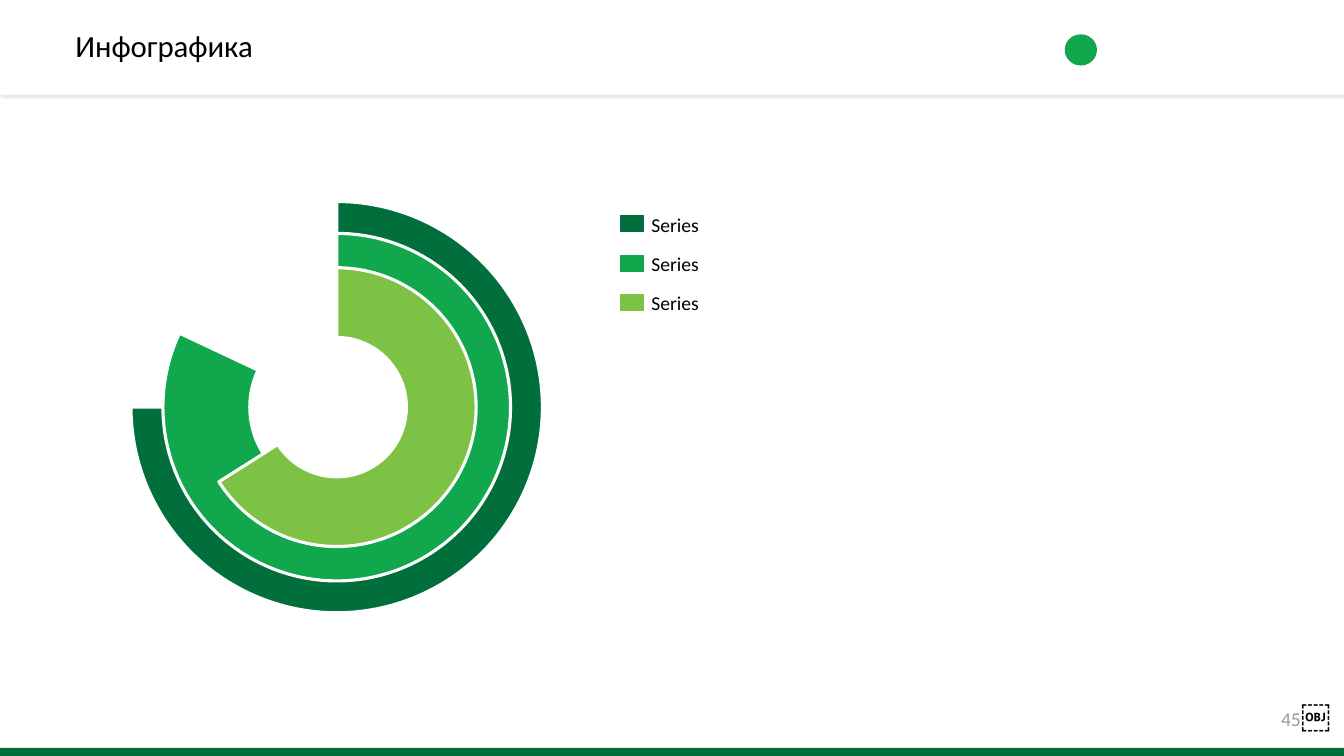
from lxml import etree
from pptx import Presentation
from pptx.chart.data import CategoryChartData
from pptx.dml.color import RGBColor
from pptx.enum.chart import XL_CHART_TYPE as ChartType
from pptx.enum.shapes import MSO_SHAPE as Preset
from pptx.enum.text import MSO_ANCHOR as Anchor, PP_ALIGN as Align
from pptx.oxml import parse_xml
from pptx.oxml.ns import nsdecls, qn
from pptx.util import Inches, Pt

WHITE = RGBColor(0xFF, 0xFF, 0xFF)
BLACK = RGBColor(0, 0, 0)
GREY = RGBColor(0x99, 0x99, 0x99)
DARK_GREEN = RGBColor(0x00, 0x6F, 0x3C)
GREEN = RGBColor(0x11, 0xA7, 0x4C)
LIME = RGBColor(0x7D, 0xC2, 0x44)

TITLE = "Инфографика"
PAGE_NUMBER = [("45", 14, "Calibri", GREY), ("￼", 21, "Cabin", BLACK)]
RINGS = [
    {"label": "Series", "value": 75, "color": DARK_GREEN, "size": 4.26, "hole": 85},
    {"label": "Series", "value": 82, "color": GREEN, "size": 3.63, "hole": 81},
    {"label": "Series", "value": 66, "color": LIME, "size": 2.95, "hole": 75},
]

SLIDE_WIDTH, SLIDE_HEIGHT = 13.33, 7.5
HEADER_HEIGHT = 0.94
FOOTER_TOP = 7.42
CENTER_X, CENTER_Y = 3.34, 4.04
RING_MARGIN = 0.09
LEGEND_TOP, LEGEND_STEP = 2.12, 0.39


def add_box(slide, box, fill, preset=Preset.RECTANGLE, line_width=None):
    shape = slide.shapes.add_shape(preset, *map(Inches, box))
    shape.shadow.inherit = False
    shape.fill.solid()
    shape.fill.fore_color.rgb = fill
    if line_width:
        shape.line.color.rgb = WHITE
        shape.line.width = Pt(line_width)
    else:
        shape.line.fill.background()
    return shape


def add_text(slide, box, runs, align=Align.LEFT, insets=(0, 0), spacing=None):
    frame = slide.shapes.add_textbox(*map(Inches, box)).text_frame
    frame.word_wrap = True
    frame.vertical_anchor = Anchor.MIDDLE
    frame.margin_left = frame.margin_right = Inches(insets[0])
    frame.margin_top = frame.margin_bottom = Inches(insets[1])
    paragraph = frame.paragraphs[0]
    paragraph.alignment = align
    if spacing:
        paragraph.line_spacing = spacing
    for text, size, font, color in runs:
        run = paragraph.add_run()
        run.text = text
        run.font.size = Pt(size)
        run.font.name = font
        run.font.color.rgb = color


def add_header_shadow(shape):
    effects = shape._element.spPr.find(qn("a:effectLst"))
    effects.append(parse_xml(
        f'<a:outerShdw {nsdecls("a")} blurRad="12700" dist="25400" dir="5400000" '
        'algn="t" rotWithShape="0"><a:srgbClr val="8A8A8A"><a:alpha val="20000"/>'
        '</a:srgbClr></a:outerShdw>'))


def set_plot_layout(chart, margin):
    plot_area = chart._chartSpace.chart.plotArea
    for layout in plot_area.findall(qn("c:layout")):
        plot_area.remove(layout)
    layout = etree.Element(qn("c:layout"))
    manual = etree.SubElement(layout, qn("c:manualLayout"))
    settings = [("layoutTarget", "inner"), ("xMode", "edge"), ("yMode", "edge"),
                ("x", margin), ("y", margin), ("w", 1 - 2 * margin), ("h", 1 - 2 * margin)]
    for name, value in settings:
        etree.SubElement(manual, qn(f"c:{name}")).set("val", str(value))
    plot_area.insert(0, layout)


def add_ring(slide, ring):
    size = ring["size"]
    data = CategoryChartData()
    data.categories = ["1", "2"]
    data.add_series("Series 1", (ring["value"], 100 - ring["value"]))
    box = (CENTER_X - size / 2, CENTER_Y - size / 2, size, size)
    chart = slide.shapes.add_chart(ChartType.DOUGHNUT, *map(Inches, box), data).chart
    chart.has_legend = False
    chart.has_title = False
    chart.font.name = "Calibri"
    chart.font.size = Pt(10)
    chart.font.color.rgb = BLACK
    chart.plots[0].vary_by_categories = False
    series = chart.plots[0].series[0]
    series.format.fill.solid()
    series.format.fill.fore_color.rgb = GREEN
    filled, rest = (series.points[index].format for index in range(2))
    filled.fill.solid()
    filled.fill.fore_color.rgb = ring["color"]
    filled.line.color.rgb = WHITE
    filled.line.width = Pt(2.25)
    rest.fill.background()
    rest.line.fill.background()
    chart_space = chart._chartSpace
    next(chart_space.iter(qn("c:holeSize"))).set("val", str(ring["hole"]))
    set_plot_layout(chart, round(RING_MARGIN / size, 3))
    chart_space.chart.addnext(parse_xml(
        f'<c:spPr {nsdecls("c", "a")}><a:noFill/><a:ln><a:noFill/></a:ln></c:spPr>'))


def add_legend_entry(slide, ring, top):
    add_box(slide, (6.13, top, 0.27, 0.2), ring["color"], line_width=2.25)
    add_text(slide, (6.46, top - 0.01, 0.55, 0.23),
             [(ring["label"], 14, "Calibri", BLACK)])


def main():
    presentation = Presentation()
    presentation.slide_width = Inches(SLIDE_WIDTH)
    presentation.slide_height = Inches(SLIDE_HEIGHT)
    slide = presentation.slides.add_slide(presentation.slide_layouts[6])

    add_box(slide, (0, FOOTER_TOP, SLIDE_WIDTH, SLIDE_HEIGHT - FOOTER_TOP), DARK_GREEN)
    add_text(slide, (12.57, 6.92, 0.76, 0.35), PAGE_NUMBER, align=Align.CENTER)
    add_header_shadow(add_box(slide, (0, 0, SLIDE_WIDTH, HEADER_HEIGHT), WHITE))
    add_box(slide, (10.56, 0.34, 0.32, 0.31), GREEN, preset=Preset.OVAL)
    add_text(slide, (0.65, 0, 9.84, HEADER_HEIGHT), [(TITLE, 22, "Calibri", BLACK)],
             insets=(0.1, 0.05), spacing=0.9)

    for index, ring in enumerate(RINGS):
        add_ring(slide, ring)
        add_legend_entry(slide, ring, LEGEND_TOP + index * LEGEND_STEP)

    presentation.save("out.pptx")


if __name__ == "__main__":
    main()
